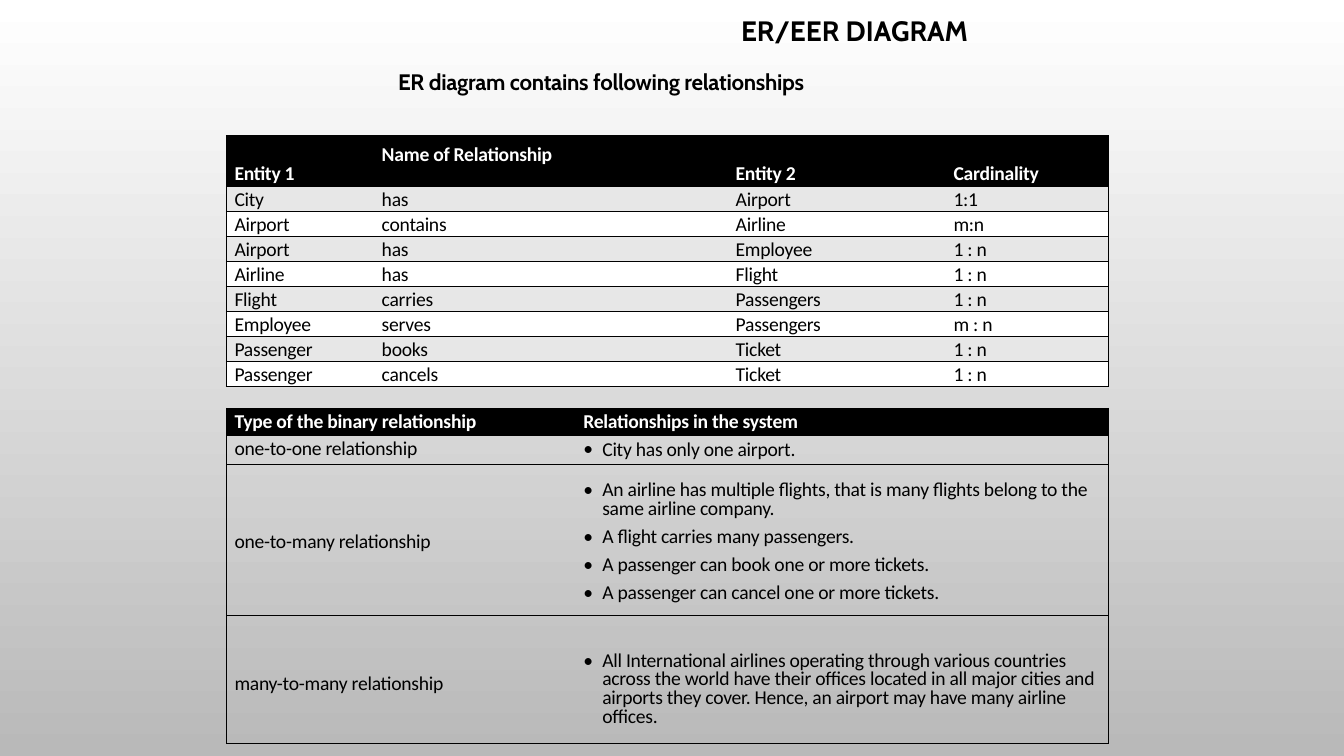
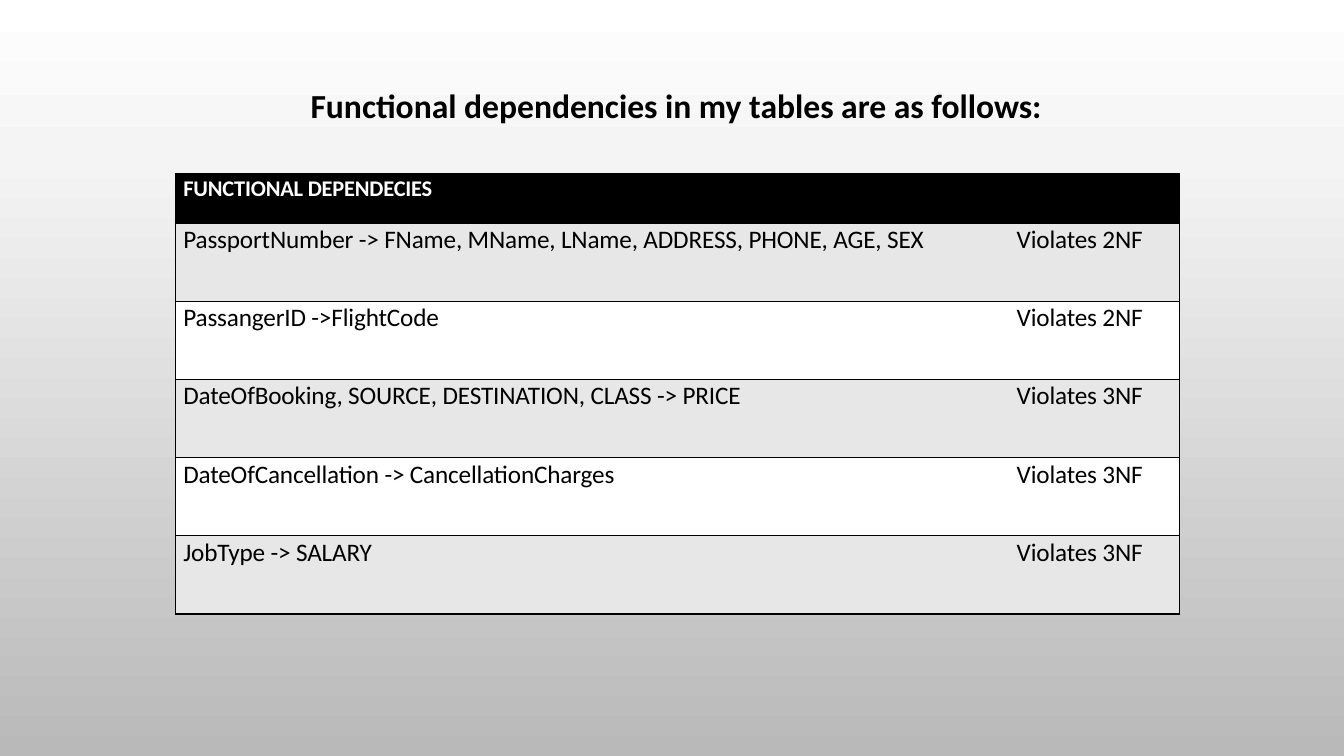
from lxml import etree
from pptx import Presentation
from pptx.dml.color import RGBColor
from pptx.enum.text import MSO_ANCHOR, MSO_AUTO_SIZE, PP_ALIGN
from pptx.oxml.ns import qn
from pptx.util import Cm, Pt

TOP = MSO_ANCHOR.TOP
NO_FIT = MSO_AUTO_SIZE.NONE
LEFT, RIGHT = PP_ALIGN.LEFT, PP_ALIGN.RIGHT
TITLE_AND_BODY, TITLE_ONLY = 1, 5

BLACK, WHITE, GREY, SHADE = "000000", "FFFFFF", "E7E7E7", "B9B9B9"
INDENT = 0.2
BULLET_INDENT = 0.48

HEADING = {"name": "Cabin", "size": Pt(20), "bold": True, "color": BLACK}
SUBHEADING = {**HEADING, "size": Pt(16)}
CALIBRI_HEADING = {**HEADING, "name": "Calibri", "size": Pt(24)}
BODY = {"name": "Calibri", "size": Pt(14), "bold": False, "color": BLACK}
HEADER = {**BODY, "bold": True, "color": WHITE}
LARGE_BODY = {**BODY, "size": Pt(18)}
LARGE_HEADER = {**HEADER, "size": Pt(16)}

RELATIONSHIPS = [
    ["Entity 1", "Name of Relationship", "Entity 2", "Cardinality"],
    ["City", "has", "Airport", "1:1"],
    ["Airport", "contains", "Airline", "m:n"],
    ["Airport", "has", "Employee", "1 : n"],
    ["Airline", "has", "Flight", "1 : n"],
    ["Flight", "carries", "Passengers", "1 : n"],
    ["Employee", "serves", "Passengers", "m : n"],
    ["Passenger", "books", "Ticket", "1 : n"],
    ["Passenger", "cancels", "Ticket", "1 : n"],
]
BINARY_HEADER = ["Type of the binary relationship", "Relationships in the system"]
BINARY_TYPES = [
    ("one-to-one relationship", 0.04, 0.18, ["City has only one airport."]),
    ("one-to-many relationship", 1.65, 0.47, [
        "An airline has multiple flights, that is many flights belong to the "
        "same airline company.",
        "A flight carries many passengers.",
        "A passenger can book one or more tickets.",
        "A passenger can cancel one or more tickets.",
    ]),
    ("many-to-many relationship", 1.41, 0.95, [
        "All International airlines operating through various countries across "
        "the world have their offices located in all major cities and airports "
        "they cover. Hence, an airport may have many airline offices.",
    ]),
]
DEPENDENCIES = [
    ["FUNCTIONAL DEPENDECIES", ""],
    ["PassportNumber -> FName, MName, LName, ADDRESS, PHONE, AGE, SEX", "Violates 2NF"],
    ["PassangerID ->FlightCode", "Violates 2NF"],
    ["DateOfBooking, SOURCE, DESTINATION, CLASS -> PRICE", "Violates 3NF"],
    ["DateOfCancellation -> CancellationCharges", "Violates 3NF"],
    ["JobType -> SALARY", "Violates 3NF"],
]


def color(value):
    return RGBColor.from_string(value)


def write(para, text, style, spacing=0):
    span = para.add_run()
    span.text = text
    for name, value in style.items():
        if name == "color":
            span.font.color.rgb = color(value)
        else:
            setattr(span.font, name, value)
    if spacing:
        span._r.get_or_add_rPr().set("spc", str(spacing))


def paint_background(page, stops):
    fill = page.background.fill
    fill.gradient()
    fill.gradient_angle = 270
    stop_list = page.element.find(".//" + qn("a:gsLst"))
    for stop in list(stop_list):
        stop_list.remove(stop)
    for position, value in stops:
        stop = etree.SubElement(stop_list, qn("a:gs"), pos=str(position * 1000))
        etree.SubElement(stop, qn("a:srgbClr"), val=value)


def place_text(placeholder, box, text, style, align, spacing=0):
    for name, value in zip(("left", "top", "width", "height"), box):
        setattr(placeholder, name, Cm(value))
    frame = placeholder.text_frame
    settings = {"auto_size": NO_FIT, "word_wrap": True, "vertical_anchor": TOP,
                "margin_left": 0, "margin_right": 0, "margin_top": 0, "margin_bottom": 0}
    for name, value in settings.items():
        setattr(frame, name, value)
    para = frame.paragraphs[0]
    properties = para._p.get_or_add_pPr()
    properties.set("marL", "0")
    properties.set("indent", "0")
    etree.SubElement(properties, qn("a:buNone"))
    para.alignment = align
    para.space_before = Pt(0)
    write(para, text, style, spacing)


def set_borders(cell, width, first, last):
    properties = cell._tc.get_or_add_tcPr()
    for side, shown in (("L", first), ("R", last), ("T", True), ("B", True)):
        line = etree.SubElement(properties, qn("a:ln" + side), w=str(Pt(width)))
        if shown:
            paint = etree.SubElement(line, qn("a:solidFill"))
            etree.SubElement(paint, qn("a:srgbClr"), val=BLACK)
        else:
            etree.SubElement(line, qn("a:noFill"))


def add_grid(page, left, top, widths, heights, fills, border):
    frame = page.shapes.add_table(len(heights), len(widths), Cm(left), Cm(top),
                                  Cm(sum(widths)), Cm(sum(heights)))
    table = frame.table
    table.horz_banding = False
    for column, width in zip(table.columns, widths):
        column.width = Cm(width)
    for row, height, fill in zip(table.rows, heights, fills):
        row.height = Cm(height)
        for index, cell in enumerate(row.cells):
            set_borders(cell, border, index == 0, index == len(widths) - 1)
            if fill:
                cell.fill.solid()
                cell.fill.fore_color.rgb = color(fill)
            else:
                cell.fill.background()
    return table


def fill_cell(cell, text, style, top=0.03, left=INDENT, spacing=-20):
    margins = {"margin_left": Cm(left), "margin_top": Cm(top),
               "margin_right": 0, "margin_bottom": 0, "vertical_anchor": TOP}
    for name, value in margins.items():
        setattr(cell, name, value)
    if text:
        write(cell.text_frame.paragraphs[0], text, style, spacing)


def fill_bullets(cell, items, top):
    fill_cell(cell, "", BODY, top)
    frame = cell.text_frame
    for index, item in enumerate(items):
        para = frame.add_paragraph() if index else frame.paragraphs[0]
        properties = para._p.get_or_add_pPr()
        properties.set("marL", str(Cm(BULLET_INDENT)))
        properties.set("indent", str(-Cm(BULLET_INDENT)))
        etree.SubElement(properties, qn("a:buFont"), typeface="Calibri")
        etree.SubElement(properties, qn("a:buChar"), char="•")
        if index:
            para.space_before = Pt(3)
        else:
            para.line_spacing = Pt(13.4)
        write(para, item, BODY, -20)


def banded_fills(count):
    return [BLACK] + [WHITE if index % 2 else GREY for index in range(count)]


def relationship_table(page, left, top):
    count = len(RELATIONSHIPS) - 1
    table = add_grid(page, left, top, [3.71, 8.92, 5.49, 4.11],
                     [1.26] + [0.63] * count, banded_fills(count), 1)
    for column, text in enumerate(RELATIONSHIPS[0]):
        fill_cell(table.cell(0, column), text, HEADER, 0.18 if column == 1 else 0.67)
    for row, texts in enumerate(RELATIONSHIPS[1:], 1):
        for column, text in enumerate(texts):
            fill_cell(table.cell(row, column), text, BODY)


def binary_type_table(page, left, top):
    table = add_grid(page, left, top, [8.79, 13.44], [0.68, 0.74, 3.81, 3.21],
                     [BLACK, None, None, None], 0.75)
    for column, text in enumerate(BINARY_HEADER):
        fill_cell(table.cell(0, column), text, HEADER)
    for row, (label, label_top, bullet_top, items) in enumerate(BINARY_TYPES, 1):
        fill_cell(table.cell(row, 0), label, BODY, label_top)
        fill_bullets(table.cell(row, 1), items, bullet_top)


def dependency_table(page, left, top):
    count = len(DEPENDENCIES) - 1
    table = add_grid(page, left, top, [20.67, 4.64], [1.24] + [1.97] * count,
                     banded_fills(count), 1)
    for row, texts in enumerate(DEPENDENCIES):
        style = LARGE_BODY if row else LARGE_HEADER
        for column, text in enumerate(texts):
            fill_cell(table.cell(row, column), text, style, 0.04,
                      0.53 if column else INDENT, -10)


def diagram_slide(deck):
    page = deck.slides.add_slide(deck.slide_layouts[TITLE_AND_BODY])
    paint_background(page, [(0, WHITE), (100, SHADE)])
    place_text(page.shapes.title, (8.6, 0.35, 15.8, 0.9), "ER/EER DIAGRAM", HEADING, RIGHT)
    place_text(page.placeholders[1], (10.03, 1.72, 14.4, 0.72),
               "ER diagram contains following relationships", SUBHEADING, LEFT, -20)
    relationship_table(page, 5.71, 3.42)
    binary_type_table(page, 5.71, 10.29)


def dependency_slide(deck):
    page = deck.slides.add_slide(deck.slide_layouts[TITLE_ONLY])
    paint_background(page, [(0, WHITE), (21, "F4F4F4"), (100, SHADE)])
    dependency_table(page, 4.42, 4.38)
    place_text(page.shapes.title, (6.78, 2.15, 19.48, 1.05),
               "Functional dependencies in my tables are as follows:", CALIBRI_HEADING, RIGHT)


def main():
    deck = Presentation()
    deck.slide_width, deck.slide_height = Cm(33.87), Cm(19.05)
    diagram_slide(deck)
    dependency_slide(deck)
    deck.save("out.pptx")


if __name__ == "__main__":
    main()
